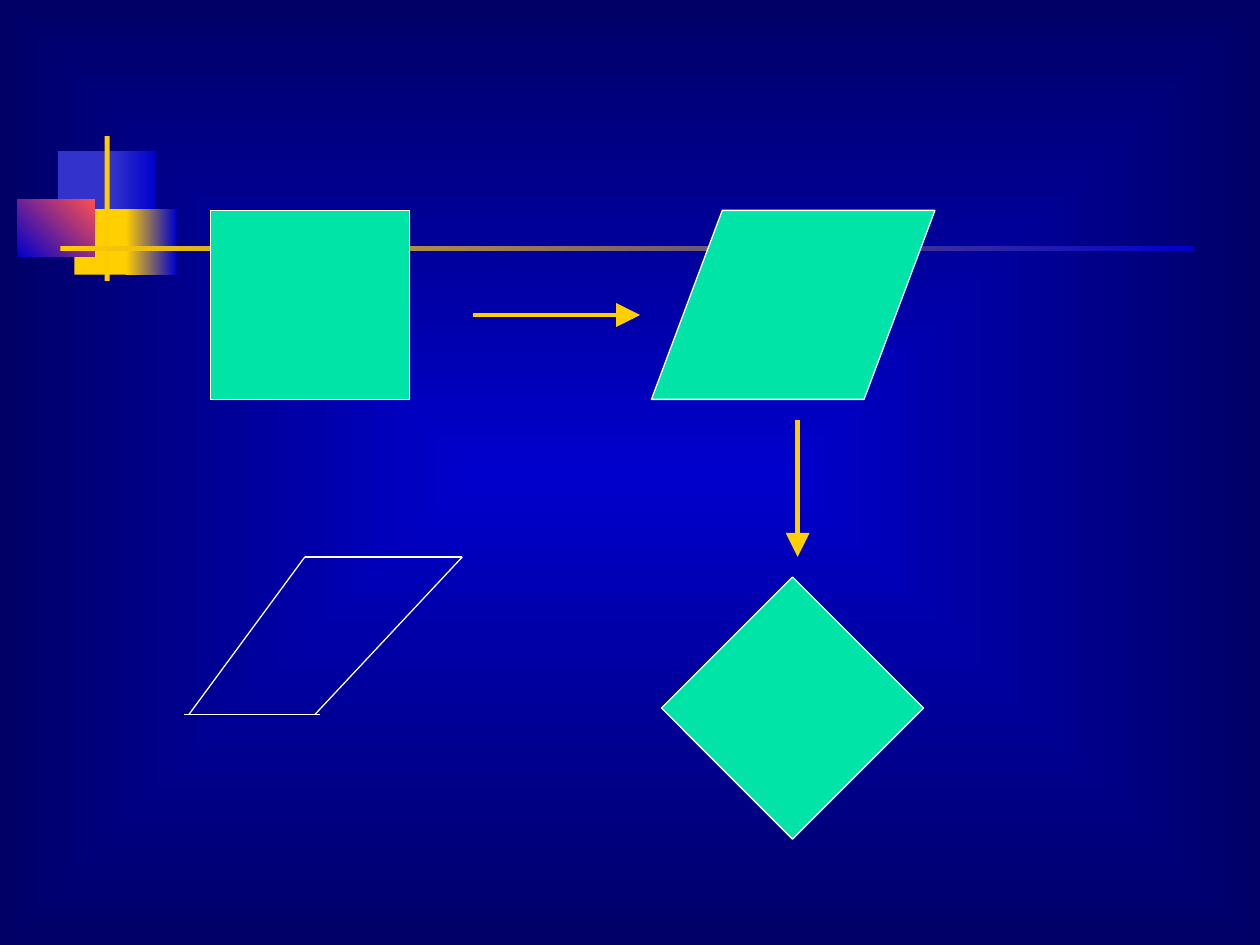
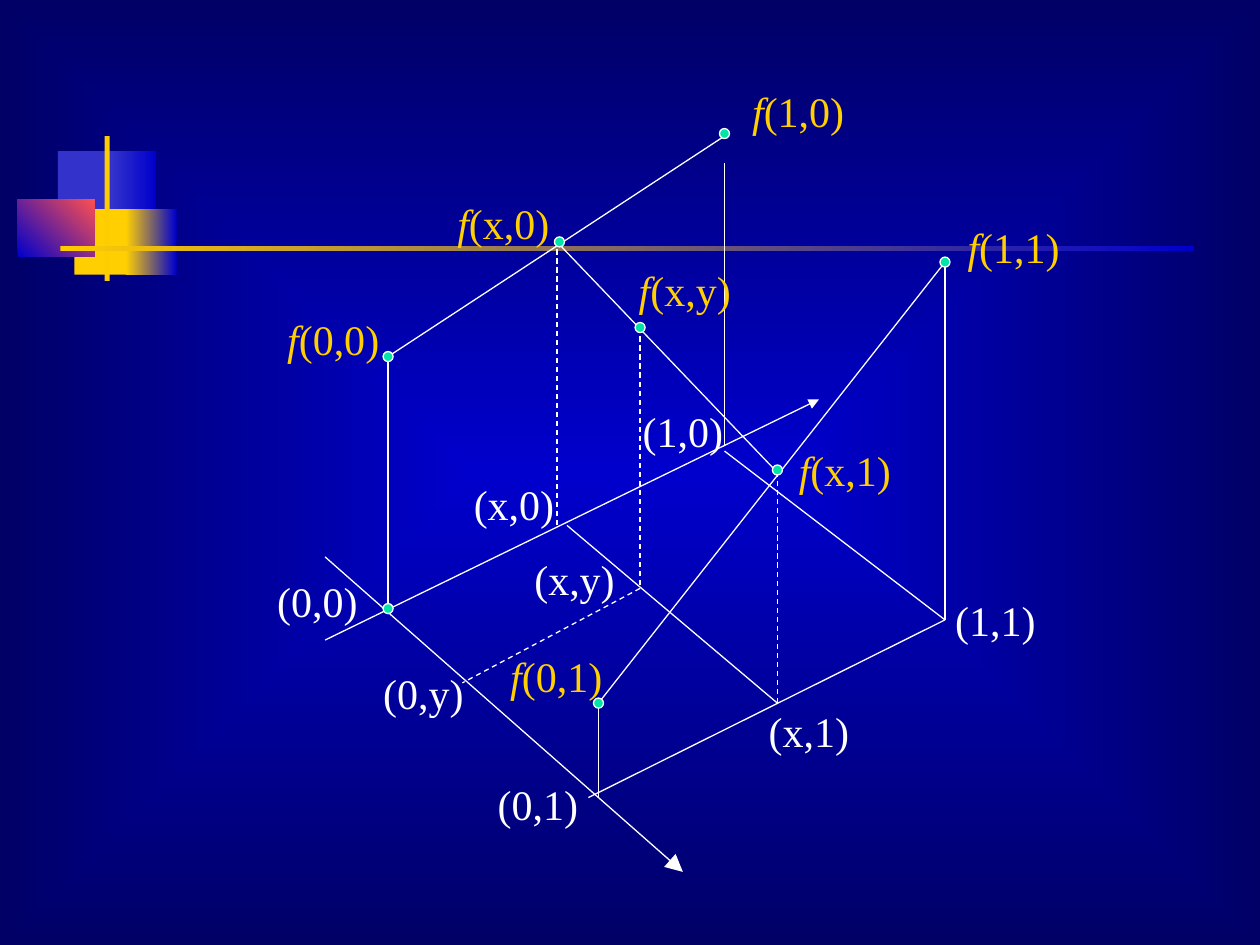
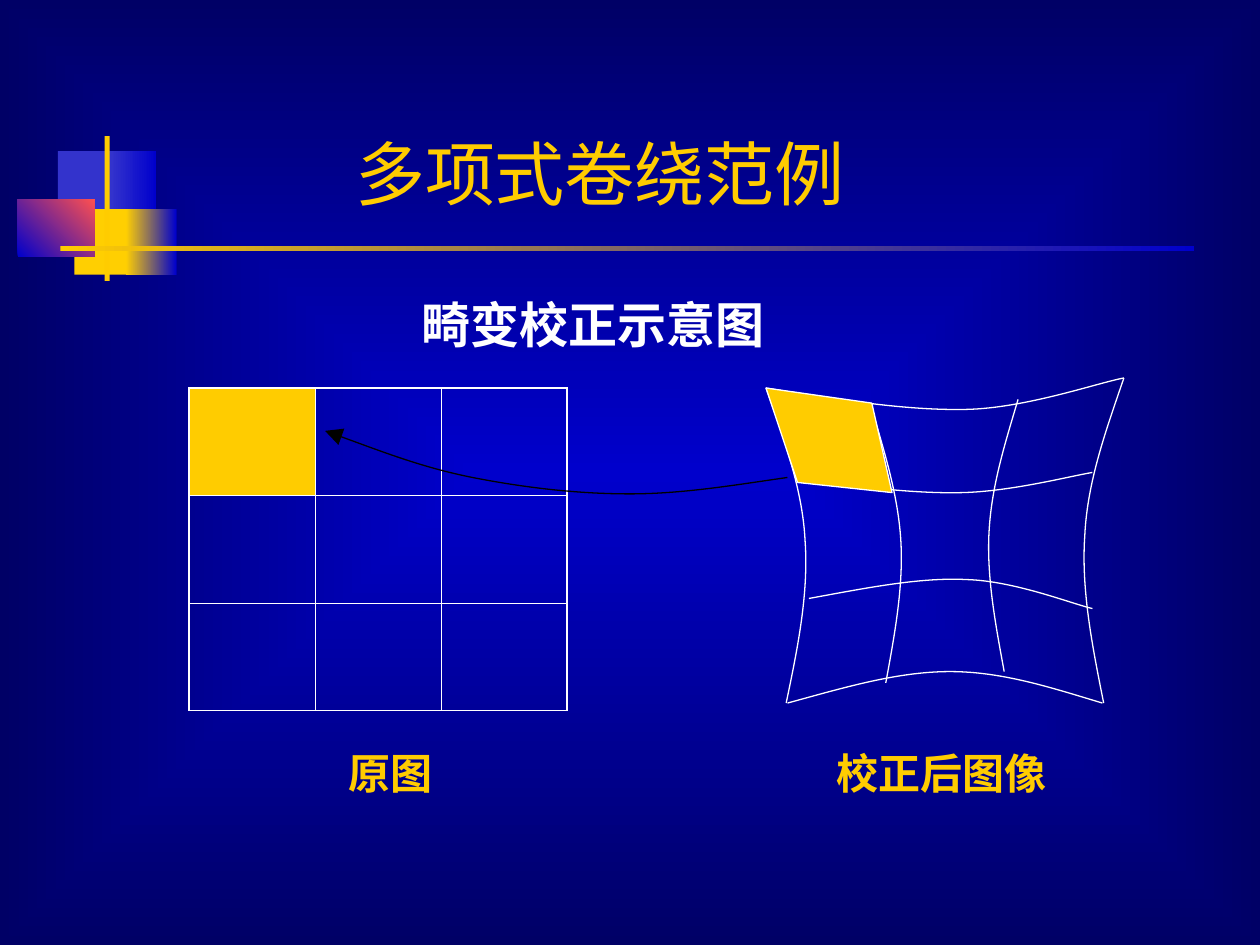
from dataclasses import dataclass

from lxml.etree import SubElement
from pptx import Presentation
from pptx.dml.color import RGBColor
from pptx.enum.dml import MSO_LINE
from pptx.enum.shapes import MSO_CONNECTOR, MSO_SHAPE
from pptx.enum.text import MSO_ANCHOR, PP_ALIGN
from pptx.oxml.ns import qn
from pptx.util import Inches, Pt


@dataclass(frozen=True)
class Theme:
    white: str = "FFFFFF"
    black: str = "000000"
    blue: str = "0000CC"
    navy: str = "000066"
    indigo: str = "3333CC"
    red: str = "FF5050"
    green: str = "00E4A8"
    yellow: str = "FFCF01"
    gold: str = "FFCC00"
    heading_font: str = "Cabin"
    label_font: str = "Times New Roman"
    title_size: int = 40
    subtitle_size: int = 28
    label_size: int = 24
    thin: float = 0.75
    thick: float = 2.75
    outer_border: float = 1.08
    inner_border: float = 0.45


THEME = Theme()


def color(value):
    return RGBColor.from_string(value)


def paint_gradient(fill, start, end):
    fill.gradient()
    for stop, value in zip(fill.gradient_stops, (start, end)):
        stop.color.rgb = color(value)


def add_arrowhead(shape, size):
    SubElement(shape.get_or_add_ln(), qn("a:tailEnd"), type="triangle", w=size, len=size)


def bend_segments(shape):
    """Turn each three line segments into one cubic curve through their points."""
    path = next(shape._element.iter(qn("a:path")))
    segments = path.findall(qn("a:lnTo"))
    for i in range(0, len(segments), 3):
        curve = SubElement(path, qn("a:cubicBezTo"))
        for segment in segments[i:i + 3]:
            curve.append(segment[0])
            path.remove(segment)


@dataclass
class Region:
    """A part of a slide; lengths are in inches from its top left corner."""
    slide: object
    left: float = 0
    top: float = 0

    def place(self, x, y):
        return Inches(self.left + x), Inches(self.top + y)

    def style(self, shape, fill, outline, width=THEME.thin):
        shape.shadow.inherit = False
        if fill:
            shape.fill.solid()
            shape.fill.fore_color.rgb = color(fill)
        else:
            shape.fill.background()
        if outline:
            shape.line.color.rgb = color(outline)
            shape.line.width = Pt(width)
        else:
            shape.line.fill.background()
        return shape

    def shape(self, kind, x, y, width, height, fill, outline=None):
        shape = self.slide.shapes.add_shape(
            kind, *self.place(x, y), Inches(width), Inches(height))
        return self.style(shape, fill, outline)

    def line(self, start, end, value=THEME.white, width=THEME.thin, dashed=False, arrow=None):
        connector = self.slide.shapes.add_connector(
            MSO_CONNECTOR.STRAIGHT, *self.place(*start), *self.place(*end))
        connector.line.color.rgb = color(value)
        connector.line.width = Pt(width)
        if dashed:
            connector.line.dash_style = MSO_LINE.DASH
        if arrow:
            add_arrowhead(connector, arrow)
        SubElement(connector._element.spPr, qn("a:effectLst"))

    def outline(self, points, value=THEME.white, fill=None):
        builder = self.slide.shapes.build_freeform(*self.place(*points[0]))
        builder.add_line_segments([self.place(*point) for point in points[1:]],
                                  close=fill is not None)
        return self.style(builder.convert_to_shape(), fill, value)

    def curve(self, points, value=THEME.white):
        """Draw cubic curves: a start, then two controls and an end for each."""
        shape = self.outline(points, value)
        bend_segments(shape)
        return shape

    def text(self, x, y, width, height, runs, value, font=THEME.label_font,
             size=THEME.label_size, bold=False, align=PP_ALIGN.CENTER,
             anchor=MSO_ANCHOR.TOP, wrap=False):
        """Add one paragraph from (text, italic) runs."""
        box = self.slide.shapes.add_textbox(
            *self.place(x, y), Inches(width), Inches(height))
        frame = box.text_frame
        frame.word_wrap = wrap
        frame.vertical_anchor = anchor
        paragraph = frame.paragraphs[0]
        paragraph.alignment = align
        for content, italic in runs:
            run = paragraph.add_run()
            run.text = content
            run.font.name = font
            run.font.size = Pt(size)
            run.font.bold = bold
            run.font.italic = italic
            run.font.color.rgb = color(value)


def set_background(master):
    """Shade every slide from a bright centre to dark edges."""
    paint_gradient(master.background.fill, THEME.blue, THEME.navy)
    gradient = next(master.element.iter(qn("a:gradFill")))
    gradient.remove(gradient.find(qn("a:lin")))
    path = SubElement(gradient, qn("a:path"), path="rect")
    SubElement(path, qn("a:fillToRect"), l="50000", t="50000", r="50000", b="50000")


def add_ornament(region):
    """Draw the overlapping squares and the fading rule."""
    parts = [
        (0.32, 0.12, 0.48, 0.52, THEME.indigo, None, 0),
        (0.74, 0.12, 0.36, 0.52, THEME.indigo, THEME.blue, 0),
        (0.45, 0.58, 0.46, 0.52, THEME.yellow, None, 0),
        (0.86, 0.58, 0.4, 0.52, THEME.yellow, THEME.blue, 0),
        (0, 0.5, 0.61, 0.46, THEME.blue, THEME.red, 45),
        (0.69, 0, 0.04, 1.15, THEME.gold, None, 0),
        (0.34, 0.87, 9, 0.04, THEME.gold, THEME.blue, 0),
    ]
    for x, y, width, height, start, end, angle in parts:
        shape = region.shape(MSO_SHAPE.RECTANGLE, x, y, width, height, start)
        if end:
            paint_gradient(shape.fill, start, end)
            shape.fill.gradient_angle = angle


def add_shape_steps(region):
    """Show a square sheared and then turned into a diamond."""
    region.shape(MSO_SHAPE.RECTANGLE, 0.17, 0, 1.58, 1.5, THEME.green, THEME.white)
    sheared = region.shape(MSO_SHAPE.PARALLELOGRAM, 3.67, 0, 2.25, 1.5,
                           THEME.green, THEME.white)
    sheared.adjustments[0] = 0.375
    region.shape(MSO_SHAPE.DIAMOND, 3.75, 2.91, 2.08, 2.08, THEME.green, THEME.white)
    for start, end in [((2.25, 0.83), (3.58, 0.83)), ((4.83, 1.66), (4.83, 2.75))]:
        region.line(start, end, THEME.yellow, THEME.thick, arrow="lg")


def add_skewed_outline(region):
    top_left, top_right = (0.96, 0), (2.21, 0)
    for start, end in [(top_left, (0.04, 1.25)), (top_left, top_right),
                       ((0, 1.25), (1.08, 1.25)), ((1.04, 1.25), top_right)]:
        region.line(start, end)


def add_bilinear_plot(region):
    """Draw the unit square in perspective with the interpolated heights above it."""
    origin, corner_11 = (1.08, 4.33), (5.5, 4.42)
    base_x1, base_xy = (4.17, 5.08), (3.08, 4.17)
    height_00, height_01, height_11 = (1.08, 2.33), (2.75, 5.08), (5.5, 1.58)
    height_x0 = (2.42, 1.42)

    region.line((0.58, 4.58), (4.5, 2.67), arrow="med")
    region.line((0.58, 3.92), (3.42, 6.42), arrow="lg")
    solid = [
        ((3.75, 3.08), corner_11), (corner_11, (2.67, 5.83)),
        ((2.75, 5.83), height_01), (corner_11, height_11),
        (origin, height_00), ((3.75, 3.04), (3.75, 0.79)),
        (height_11, height_01), ((3.75, 0.58), height_00),
        ((2.5, 3.67), base_x1), (height_x0, (4.17, 3.25)),
    ]
    dashed = [
        (base_x1, (4.17, 3.25)), ((2.42, 3.67), height_x0),
        ((3.08, 2.17), base_xy), (base_xy, (1.67, 4.92)),
    ]
    for start, end in solid:
        region.line(start, end)
    for start, end in dashed:
        region.line(start, end, dashed=True)

    dot = 0.08
    for x, y in [origin, (2.44, 1.42), height_01, height_00, (3.75, 0.56),
                 height_11, (4.17, 3.23), (3.08, 2.1)]:
        region.shape(MSO_SHAPE.OVAL, x - dot / 2, y - dot / 2, dot, dot,
                     THEME.green, THEME.white)

    labels = [
        ("(0,0)", (0.1, 4.02), (0.18, 1.94)),
        ("(0,y)", (0.94, 4.75), None),
        ("(0,1)", (1.85, 5.63), (1.95, 4.61)),
        ("(x,1)", (4, 5.05), (4.24, 2.98)),
        ("(1,1)", (5.48, 4.17), (5.58, 1.21)),
        ("(x,0)", (1.66, 3.25), (1.53, 1.02)),
        ("(x,y)", (2.14, 3.84), (2.97, 1.55)),
        ("(1,0)", (3, 2.67), (3.87, 0.13)),
    ]
    for point, base, height in labels:
        region.text(*base, 0.84, 0.5, [(point, False)], THEME.white)
        if height:
            region.text(*height, 0.93, 0.5, [("f", True), (point, False)], THEME.yellow)


def add_headings(region):
    region.text(0, 0, 4.45, 0.84, [("多项式卷绕范例", False)], THEME.gold,
                THEME.heading_font, THEME.title_size, align=PP_ALIGN.LEFT,
                anchor=MSO_ANCHOR.BOTTOM, wrap=True)
    region.text(0.53, 1.38, 5, 0.6, [("畸变校正示意图", False)], THEME.white,
                THEME.heading_font, THEME.subtitle_size, bold=True,
                align=PP_ALIGN.LEFT, wrap=True)


def add_caption(region, x, content):
    region.text(x, 0, 2, 0.5, [(content, False)], THEME.gold, bold=True,
                anchor=MSO_ANCHOR.MIDDLE, wrap=True)


def set_border(cell, side, width):
    line = SubElement(cell._tc.get_or_add_tcPr(), qn(f"a:ln{side}"), w=str(Pt(width)))
    fill = SubElement(line, qn("a:solidFill"))
    SubElement(fill, qn("a:srgbClr"), val=THEME.white)


def add_square_grid(region, size=3):
    """Add an empty table with heavier outer borders and one marked cell."""
    table = region.slide.shapes.add_table(
        size, size, *region.place(0, 0), Inches(3), Inches(2.56)).table
    table.first_row = table.horz_banding = False
    last = size - 1
    for row in range(size):
        for column in range(size):
            cell = table.cell(row, column)
            outer_sides = {"L": column == 0, "R": column == last,
                           "T": row == 0, "B": row == last}
            for side, is_outer in outer_sides.items():
                set_border(cell, side,
                           THEME.outer_border if is_outer else THEME.inner_border)
            cell.fill.background()
    marked = table.cell(0, 0)
    marked.fill.solid()
    marked.fill.fore_color.rgb = color(THEME.gold)


def add_warped_grid(region):
    rows = [
        [(0, 0.08), (0.56, 0.17), (1.11, 0.26), (1.59, 0.25),
         (2.06, 0.24), (2.63, 0.04), (2.84, 0)],
        [(0.25, 0.8), (0.71, 0.86), (1.17, 0.92), (1.56, 0.91),
         (1.95, 0.9), (2.41, 0.78), (2.59, 0.75)],
        [(0.34, 1.75), (0.78, 1.67), (1.22, 1.58), (1.59, 1.6),
         (1.97, 1.61), (2.42, 1.79), (2.59, 1.83)],
        [(0.17, 2.58), (0.61, 2.46), (1.04, 2.33), (1.46, 2.33),
         (1.88, 2.33), (2.27, 2.46), (2.67, 2.58)],
    ]
    columns = [
        [(0, 0.08), (0.14, 0.48), (0.29, 0.88), (0.31, 1.29),
         (0.34, 1.71), (0.25, 2.15), (0.16, 2.58)],
        [(0.84, 0.25), (0.94, 0.59), (1.05, 0.94), (1.07, 1.3),
         (1.09, 1.66), (1.02, 2.04), (0.95, 2.42)],
        [(2, 0.17), (1.9, 0.51), (1.79, 0.85), (1.77, 1.22),
         (1.75, 1.58), (1.82, 1.95), (1.89, 2.33)],
        [(2.84, 0), (2.7, 0.41), (2.55, 0.82), (2.53, 1.25),
         (2.5, 1.68), (2.59, 2.13), (2.68, 2.58)],
    ]
    for points in rows + columns:
        region.curve(points)
    region.outline([(1, 0.91), (0.84, 0.2), (0, 0.08), (0.25, 0.83)], fill=THEME.gold)


def add_mapping_arrow(region):
    points = [(3.67, 0.37), (3.25, 0.43), (2.84, 0.5), (2.42, 0.5), (2, 0.5),
              (1.58, 0.45), (1.17, 0.37), (0.77, 0.29), (0.39, 0.14), (0, 0)]
    add_arrowhead(region.curve(points, THEME.black), "lg")


def add_slide(presentation):
    slide = presentation.slides.add_slide(presentation.slide_layouts[6])
    add_ornament(Region(slide, 0.14, 1.08))
    return slide


def main():
    presentation = Presentation()
    presentation.slide_width, presentation.slide_height = Inches(10), Inches(7.5)
    set_background(presentation.slide_master)

    shapes_slide = add_slide(presentation)
    add_shape_steps(Region(shapes_slide, 1.5, 1.67))
    add_skewed_outline(Region(shapes_slide, 1.46, 4.42))

    add_bilinear_plot(Region(add_slide(presentation), 2, 0.5))

    warp_slide = add_slide(presentation)
    add_headings(Region(warp_slide, 2.72, 0.91))
    add_square_grid(Region(warp_slide, 1.5, 3.08))
    captions = Region(warp_slide, 2.1, 5.88)
    add_caption(captions, 0, "原图")
    add_caption(captions, 4.37, "校正后图像")
    add_mapping_arrow(Region(warp_slide, 2.58, 3.42))
    add_warped_grid(Region(warp_slide, 6.08, 3))

    presentation.save("out.pptx")


if __name__ == "__main__":
    main()
